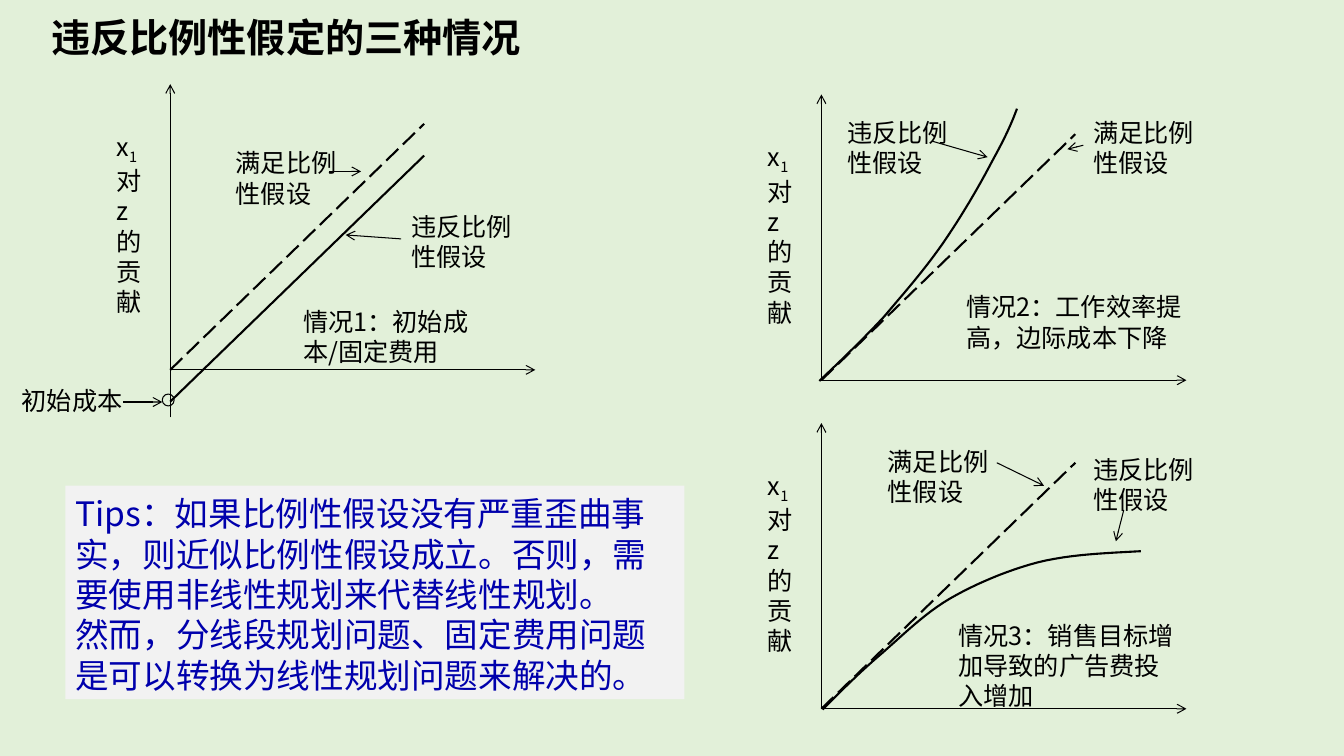
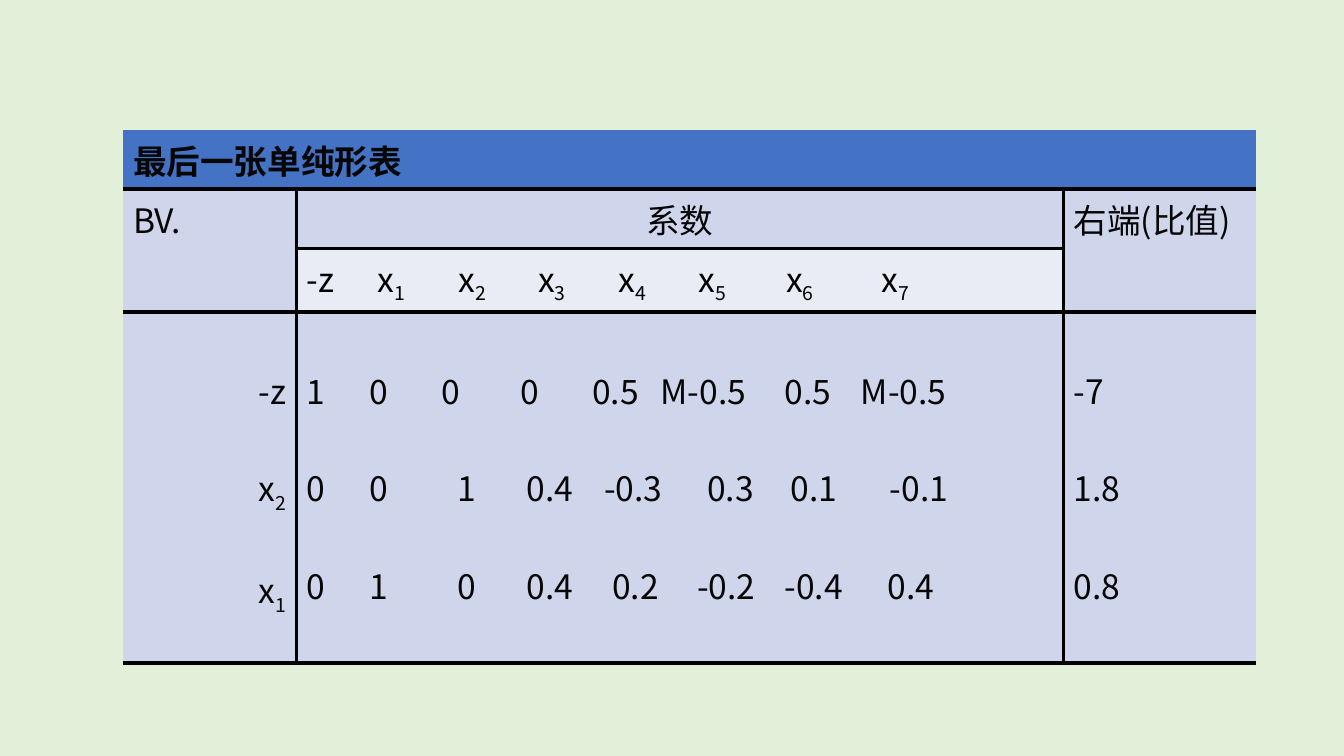
from lxml import etree
from pptx import Presentation
from pptx.dml.color import RGBColor
from pptx.enum.dml import MSO_LINE
from pptx.enum.shapes import MSO_CONNECTOR, MSO_SHAPE
from pptx.enum.text import MSO_ANCHOR, MSO_AUTO_SIZE, PP_ALIGN
from pptx.oxml.ns import qn
from pptx.util import Cm, Pt

COLOURS = {
    "background": "E2F0D9", "black": "000000", "table_text": "060606",
    "tips_text": "0000AC", "tips_fill": "F2F2F2",
    "header": "4472C4", "band": "CFD5EA", "light_band": "E9EBF5",
}
FONT = "Noto Sans CJK SC"
TITLE_ONLY, BLANK = 5, 6
FRAME = {
    "word_wrap": True, "auto_size": MSO_AUTO_SIZE.NONE,
    "vertical_anchor": MSO_ANCHOR.TOP,
    "margin_left": Cm(0.25), "margin_right": Cm(0.25),
    "margin_top": Cm(0.19), "margin_bottom": Cm(0),
}
SATISFIED, VIOLATED = "满足比例性假设", "违反比例性假设"


def colour(name):
    return RGBColor.from_string(COLOURS[name])


def set_values(target, values):
    for name, value in values.items():
        setattr(target, name, value)


def curve_points(points, steps=12):
    """Points along joined cubic curves; each curve starts where the last ends."""
    for first in range(0, len(points) - 1, 3):
        controls = points[first:first + 4]
        for step in range(1, steps + 1):
            t = step / steps
            weights = ((1 - t) ** 3, 3 * t * (1 - t) ** 2, 3 * t * t * (1 - t), t ** 3)
            yield tuple(Cm(sum(weight * point[axis] for weight, point in zip(weights, controls)))
                        for axis in (0, 1))


class Deck:
    def __init__(self):
        self.presentation = Presentation()
        set_values(self.presentation, {"slide_width": Cm(33.87), "slide_height": Cm(19.05)})
        fill = self.presentation.slide_master.background.fill
        fill.solid()
        fill.fore_color.rgb = colour("background")

    def new_slide(self, layout):
        layouts = self.presentation.slide_layouts
        self.slide = self.presentation.slides.add_slide(layouts[layout])
        self.shapes = self.slide.shapes

    def start_group(self):
        self.shapes = self.slide.shapes.add_group_shape().shapes

    def end_group(self):
        self.shapes = self.slide.shapes

    # Text: "_" puts the next character in subscript
    def add_text(self, paragraph, text, size, ink="black", bold=False, align=PP_ALIGN.LEFT,
                 line_spacing=None, space_before=0, tabs=()):
        set_values(paragraph, {"alignment": align, "line_spacing": line_spacing,
                               "space_before": Pt(space_before)})
        if tabs:
            properties = paragraph._p.get_or_add_pPr()
            tab_list = etree.SubElement(properties, qn("a:tabLst"))
            for position in tabs:
                etree.SubElement(tab_list, qn("a:tab"), pos=str(Cm(position)), algn="l")
        plain, *rest = text.split("_")
        pieces = [(plain, False)]
        for part in rest:
            pieces += [(part[0], True), (part[1:], False)]
        for piece, subscript in pieces:
            if not piece:
                continue
            run = paragraph.add_run()
            run.text = piece
            set_values(run.font, {"name": FONT, "size": Pt(size), "bold": bold})
            run.font.color.rgb = colour(ink)
            properties = run._r.get_or_add_rPr()
            etree.SubElement(properties, qn("a:ea"), typeface=FONT)
            if subscript:
                properties.set("baseline", "-25000")

    def fill_frame(self, shape, texts, size, **style):
        frame = shape.text_frame
        set_values(frame, FRAME)
        for index, text in enumerate(texts):
            paragraph = frame.add_paragraph() if index else frame.paragraphs[0]
            self.add_text(paragraph, text, size, line_spacing=Pt(size * 1.2), **style)

    def title(self, text, left, top, width, height):
        shape = self.slide.shapes.title
        set_values(shape, {"left": Cm(left), "top": Cm(top),
                           "width": Cm(width), "height": Cm(height)})
        self.fill_frame(shape, [text], 28, bold=True)

    def label(self, text, left, top, width=3.6, height=1.8):
        shape = self.shapes.add_textbox(Cm(left), Cm(top), Cm(width), Cm(height))
        self.fill_frame(shape, [text], 18)

    def panel(self, texts, left, top, width, height):
        shape = self.shapes.add_shape(MSO_SHAPE.RECTANGLE, Cm(left), Cm(top),
                                      Cm(width), Cm(height))
        shape.shadow.inherit = False
        shape.fill.solid()
        shape.fill.fore_color.rgb = colour("tips_fill")
        shape.line.fill.background()
        self.fill_frame(shape, texts, 24, ink="tips_text")

    # Lines and outlines
    def outline(self, shape, width):
        shape.line.width = Pt(width)
        shape.line.color.rgb = colour("black")

    def line(self, start, end, width=1.5, dashed=False, arrow=False):
        connector = self.shapes.add_connector(
            MSO_CONNECTOR.STRAIGHT, *(Cm(value) for value in (*start, *end)))
        self.outline(connector, width)
        if dashed:
            connector.line.dash_style = MSO_LINE.LONG_DASH
        properties = connector._element.spPr
        if arrow:
            etree.SubElement(properties.find(qn("a:ln")), qn("a:tailEnd"), type="arrow")
        etree.SubElement(properties, qn("a:effectLst"))

    def arrow(self, start, end):
        self.line(start, end, width=0.75, arrow=True)

    def ring(self, left, top, size):
        shape = self.shapes.add_shape(MSO_SHAPE.OVAL, Cm(left), Cm(top), Cm(size), Cm(size))
        shape.shadow.inherit = False
        shape.fill.background()
        self.outline(shape, 0.75)

    def curve(self, points):
        builder = self.shapes.build_freeform(*(Cm(value) for value in points[0]))
        builder.add_line_segments(list(curve_points(points)), close=False)
        shape = builder.convert_to_shape()
        shape.shadow.inherit = False
        shape.fill.background()
        self.outline(shape, 1.5)

    def plot(self, origin, labels, arrows, below=0):
        """Axes, the proportional line, the axis label, notes and their arrows."""
        x, y = origin
        self.start_group()
        self.arrow(origin, (x + 9.2, y))
        self.arrow((x, y + below), (x, y - 7.2))
        self.line(origin, (x + 6.4, y - 6.2), dashed=True)
        self.label("x_1对z的贡献", x - 1.6, y - 6.1, 1.2, 4.88)
        for values in labels:
            self.label(*values)
        for start, end in arrows:
            self.arrow(start, end)

    # Table
    def table(self, left, top, widths, heights):
        frame = self.shapes.add_table(len(heights), len(widths), Cm(left), Cm(top),
                                      Cm(sum(widths)), Cm(sum(heights)))
        table = frame.table
        set_values(table, {"first_row": False, "horz_banding": False})
        for column, width in zip(table.columns, widths):
            column.width = Cm(width)
        for row, height in zip(table.rows, heights):
            row.height = Cm(height)
        return table

    def cell(self, cell, fill, sides):
        properties = cell._tc.get_or_add_tcPr()
        for side in "LRTB":
            border = etree.SubElement(properties, qn("a:ln" + side), w=str(Pt(3)))
            if side in sides:
                solid = etree.SubElement(border, qn("a:solidFill"))
                etree.SubElement(solid, qn("a:srgbClr"), val=COLOURS["black"])
            else:
                etree.SubElement(border, qn("a:noFill"))
        cell.fill.solid()
        cell.fill.fore_color.rgb = colour(fill)

    def cell_text(self, cell, text, **style):
        self.add_text(cell.text_frame.paragraphs[0], text, 24,
                      **{"ink": "table_text", **style})

    def cell_rows(self, cell, texts, tabs=((), (), ()), align=PP_ALIGN.LEFT):
        cell.margin_top = Cm(1.35)
        frame = cell.text_frame
        for index, (text, stops) in enumerate(zip(texts, tabs)):
            paragraph = frame.add_paragraph() if index else frame.paragraphs[0]
            self.add_text(paragraph, text, 24, "table_text", align=align, tabs=stops,
                          space_before=35 if index else 0)


def build_cases(deck):
    deck.new_slide(TITLE_ONLY)
    deck.title("违反比例性假定的三种情况", 1.04, 0.15, 29.4, 2.13)

    # Case 1: fixed cost
    x, y = 4.29, 9.32
    deck.plot((x, y), [
        (SATISFIED, 5.69, 3.53), (VIOLATED, 10.11, 5.13),
        ("情况1：初始成本/固定费用", 7.39, 7.52, 5.8),
        ("初始成本", 0.3, 9.53, 3.2, 1),
    ], [
        ((8.3, 4.32), (9.1, 4.32)), ((10.11, 6.02), (8.71, 5.92)),
        ((3.1, 10.13), (4.09, 10.13)),
    ], below=1.2)
    deck.line((x, y + 0.8), (x + 6.4, y - 5.4))
    deck.ring(4.09, 9.93, 0.3)

    # Case 2: rising efficiency
    deck.plot((20.7, 9.58), [
        (SATISFIED, 27.3, 2.77), (VIOLATED, 21.1, 2.77),
        ("情况2：工作效率提高，边际成本下降", 24.1, 7.16, 6.5),
    ], [((23.5, 3.56), (24.89, 3.96)), ((27.3, 3.66), (26.9, 3.76))])
    deck.curve([(20.65, 9.6), (21.21, 9.07), (21.77, 8.53), (22.28, 7.98), (22.78, 7.39),
                (23.29, 6.81), (23.75, 6.15), (24.21, 5.49), (24.69, 4.67), (24.99, 4.09),
                (25.3, 3.53), (25.48, 3.15), (25.63, 2.74)])

    # Case 3: growing advertising cost
    deck.plot((20.7, 17.86), [
        (SATISFIED, 22.12, 11.05), (VIOLATED, 27.3, 11.25),
        ("情况3：销售目标增加导致的广告费投入增加", 23.9, 15.44, 6, 2.57),
    ], [((28.32, 12.85), (28.12, 13.64)), ((25.12, 11.66), (26.31, 12.24))])
    deck.curve([(20.73, 17.88), (21.21, 17.4), (21.69, 16.92), (22.23, 16.46), (22.76, 16),
                (23.29, 15.47), (23.93, 15.09), (24.59, 14.71), (25.37, 14.38),
                (26.16, 14.17), (26.97, 13.97), (27.86, 13.94), (28.75, 13.89)])
    deck.end_group()

    # Tips
    deck.panel([
        "Tips：如果比例性假设没有严重歪曲事实，则近似比例性假设成立。否则，需要使用非线性规划来代替线性规划。",
        "然而，分线段规划问题、固定费用问题是可以转换为线性规划问题来解决的。",
    ], 1.65, 12.24, 15.6, 5.38)


def build_tableau(deck):
    deck.new_slide(BLANK)
    table = deck.table(3.1, 3.28, (4.37, 19.33, 4.85), (1.47, 1.5, 1.59, 8.85))

    # Fills and borders
    column_sides = ("RTB", "LRTB", "LTB")
    for row, fill in enumerate(("header", "band", "light_band", "band")):
        for column, sides in enumerate(column_sides):
            cell_fill = "band" if row == 2 and column != 1 else fill
            deck.cell(table.cell(row, column), cell_fill, sides if row else "B")
    for first, last in (((0, 0), (0, 2)), ((1, 0), (2, 0)), ((1, 2), (2, 2))):
        table.cell(*first).merge(table.cell(*last))

    # Headings
    deck.cell_text(table.cell(0, 0), "最后一张单纯形表", bold=True)
    deck.cell_text(table.cell(1, 0), "BV.")
    deck.cell_text(table.cell(1, 1), "系数", align=PP_ALIGN.CENTER)
    deck.cell_text(table.cell(1, 2), "右端(比值)")
    variables = "\t".join(["-z"] + [f"x_{number}" for number in range(1, 8)])
    deck.cell_text(table.cell(2, 1), variables, ink="black",
                   tabs=(1.8, 3.84, 5.84, 7.87, 9.88, 12.09, 14.5))

    # Body
    coefficients = ("1 0 0 0 0.5 M-0.5 0.5 M-0.5",
                    "0 0 1 0.4 -0.3 0.3 0.1 -0.1",
                    "0 1 0 0.4 0.2 -0.2 -0.4 0.4")
    tabs = ((1.6, 3.4, 5.4, 7.2, 8.92, 12.05, 13.97),
            (1.6, 3.8, 5.55, 7.5, 10.1, 12.2, 14.7),
            (1.6, 3.8, 5.55, 7.7, 9.85, 12.05, 14.65))
    deck.cell_rows(table.cell(3, 0), ("-z", "x_2", "x_1"), align=PP_ALIGN.RIGHT)
    deck.cell_rows(table.cell(3, 1), [row.replace(" ", "\t") for row in coefficients], tabs)
    deck.cell_rows(table.cell(3, 2), ("-7", "1.8", "0.8"))


def main():
    deck = Deck()
    build_cases(deck)
    build_tableau(deck)
    deck.presentation.save("out.pptx")


if __name__ == "__main__":
    main()
